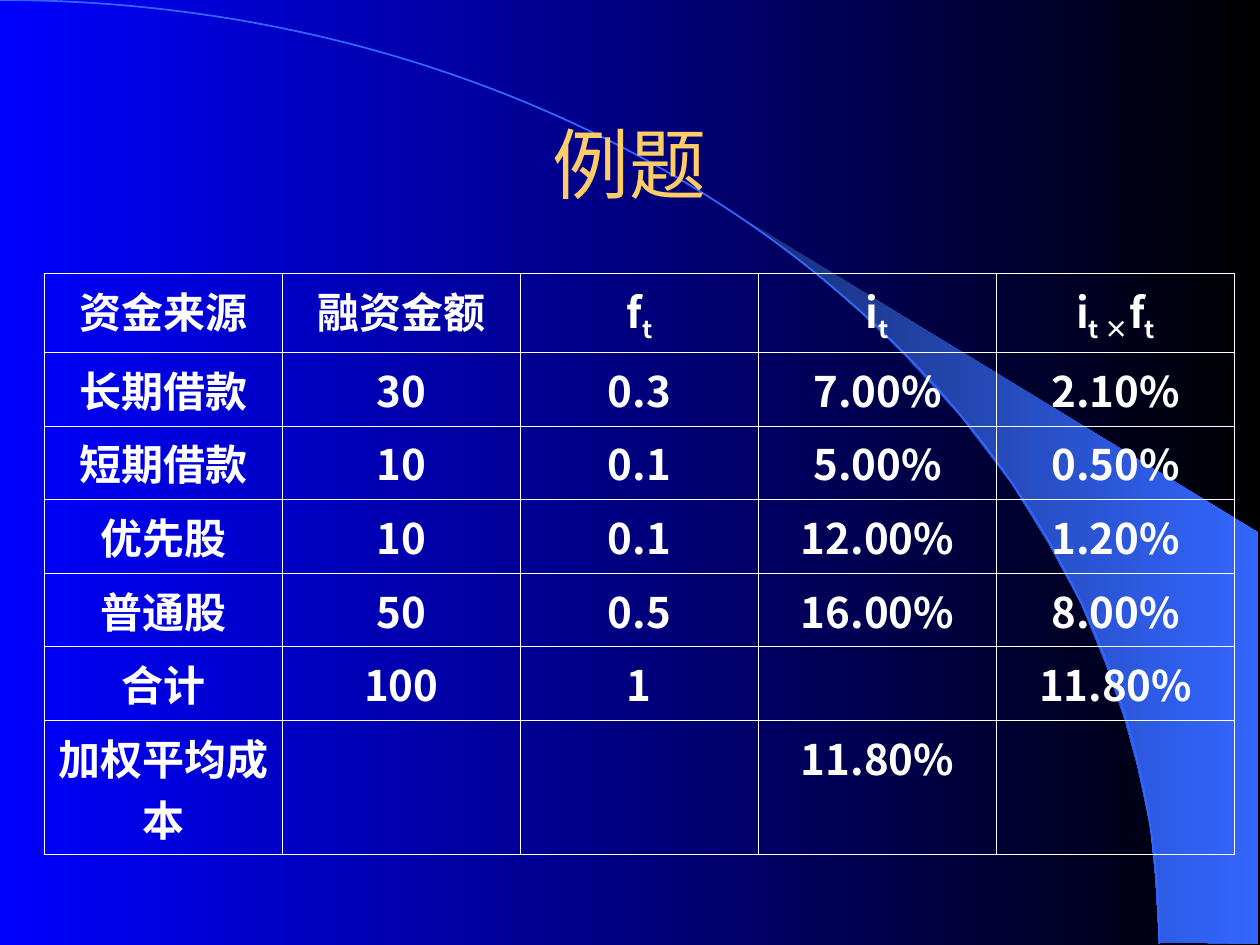
from dataclasses import dataclass

from lxml.etree import SubElement
from pptx import Presentation
from pptx.dml.color import RGBColor
from pptx.enum.text import MSO_ANCHOR, PP_ALIGN
from pptx.oxml import parse_xml
from pptx.oxml.ns import nsdecls, qn
from pptx.util import Inches, Pt


@dataclass(frozen=True)
class Theme:
    sky: str = "0000FF"
    night: str = "000000"
    beam_dark: str = "182F76"
    accent: str = "3366FF"
    title: str = "FFCC66"
    text: str = "FFFFFF"
    title_size: int = 44
    table_size: int = 24
    border_width: float = 0.45
    title_font: str = "Arial"
    table_font: str = "Noto Sans CJK SC"


BEAM = [
    (9.2, 7.48), (9.99, 7.49), (9.99, 4.23), (5.89, 1.73), (6.24, 1.99),
    (6.53, 2.22), (6.85, 2.5), (7.16, 2.8), (7.62, 3.3), (8.03, 3.84),
    (8.32, 4.31), (8.58, 4.79), (8.78, 5.28), (8.93, 5.72), (9.03, 6.09),
    (9.13, 6.56), (9.17, 6.96),
]
ARC = [(0, 0), (5.08, 0), (9.2, 3.35), (9.2, 7.49)]

# In a tuple, every second part is a subscript.
ROWS = [
    ["资金来源", "融资金额", ("f", "t"), ("i", "t"), ("i", "t ×", "f", "t")],
    ["长期借款", "30", "0.3", "7.00%", "2.10%"],
    ["短期借款", "10", "0.1", "5.00%", "0.50%"],
    ["优先股", "10", "0.1", "12.00%", "1.20%"],
    ["普通股", "50", "0.5", "16.00%", "8.00%"],
    ["合计", "100", "1", "", "11.80%"],
    ["加权平均成本", "", "", "11.80%", ""],
]
ROW_HEIGHTS = [0.56] + [0.5] * 5 + [0.9]


def write_text(frame, parts, *, size, color, font, east_font, bold=False):
    """Write one centred paragraph; odd-numbered parts become subscripts."""
    para = frame.paragraphs[0]
    para.alignment = PP_ALIGN.CENTER
    for index, part in enumerate(parts):
        span = para.add_run()
        span.text = part
        span.font.size = Pt(size)
        span.font.bold = bold
        span.font.color.rgb = RGBColor.from_string(color)
        span.font.name = font
        properties = span.font._element
        SubElement(properties, qn("a:ea")).set("typeface", east_font)
        if index % 2:
            properties.set("baseline", "-25000")


def fill_gradient(fill, colors):
    fill.gradient()
    fill.gradient_angle = 0
    for position, (stop, color) in enumerate(zip(fill.gradient_stops, colors)):
        stop.color.rgb = RGBColor.from_string(color)
        stop.position = position


class SlideBuilder:
    def __init__(self, deck, theme):
        self.theme = theme
        self.slide = deck.slides.add_slide(deck.slide_layouts[5])

    def background(self):
        fill_gradient(self.slide.background.fill, (self.theme.sky, self.theme.night))

    def outline(self, points, close):
        first, *rest = [(Inches(x), Inches(y)) for x, y in points]
        builder = self.slide.shapes.build_freeform(*first)
        builder.add_line_segments(rest, close=close)
        shape = builder.convert_to_shape()
        shape.shadow.inherit = False
        return shape

    def beam(self, points):
        shape = self.outline(points, close=True)
        fill_gradient(shape.fill, (self.theme.beam_dark, self.theme.accent))
        shape.line.fill.background()

    def curve(self, points):
        """Draw one cubic curve from its end points and two control points."""
        shape = self.outline(points, close=False)
        shape.fill.background()
        shape.line.color.rgb = RGBColor.from_string(self.theme.accent)
        shape.line.width = Pt(1)
        segments = list(shape._element.iter(qn("a:lnTo")))
        bezier = SubElement(segments[0].getparent(), qn("a:cubicBezTo"))
        for segment in segments:
            bezier.append(segment[0])
            segment.getparent().remove(segment)

    def title(self, text):
        theme, box = self.theme, self.slide.shapes.title
        box.left, box.top = Inches(0.75), Inches(0.67)
        box.width, box.height = Inches(8.5), Inches(1.25)
        box.text_frame.vertical_anchor = MSO_ANCHOR.MIDDLE
        write_text(box.text_frame, [text], size=theme.title_size, color=theme.title,
                   font=theme.title_font, east_font=theme.table_font)
        # Bring the title in front of the decoration.
        box._element.getparent().append(box._element)

    def table(self, rows, heights):
        theme = self.theme
        table = self.slide.shapes.add_table(
            len(rows), len(rows[0]), Inches(0.35), Inches(2.17),
            Inches(9.45), Inches(sum(heights))).table
        table.first_row = table.horz_banding = False
        for row, height, values in zip(table.rows, heights, rows):
            row.height = Inches(height)
            for cell, value in zip(row.cells, values):
                cell.fill.background()
                self.border(cell)
                if value:
                    parts = [value] if isinstance(value, str) else value
                    write_text(cell.text_frame, parts, size=theme.table_size,
                               color=theme.text, font=theme.table_font,
                               east_font=theme.table_font, bold=True)

    def border(self, cell):
        properties = cell._tc.get_or_add_tcPr()
        for index, side in enumerate(("lnL", "lnR", "lnT", "lnB")):
            properties.insert(index, parse_xml(
                f'<a:{side} {nsdecls("a")} w="{Pt(self.theme.border_width)}">'
                f'<a:solidFill><a:srgbClr val="{self.theme.text}"/></a:solidFill>'
                f'</a:{side}>'))


def main():
    deck = Presentation()
    deck.slide_width, deck.slide_height = Inches(10), Inches(7.5)
    page = SlideBuilder(deck, Theme())
    page.background()
    page.beam(BEAM)
    page.curve(ARC)
    page.title("例题")
    page.table(ROWS, ROW_HEIGHTS)
    deck.save("out.pptx")


if __name__ == "__main__":
    main()
